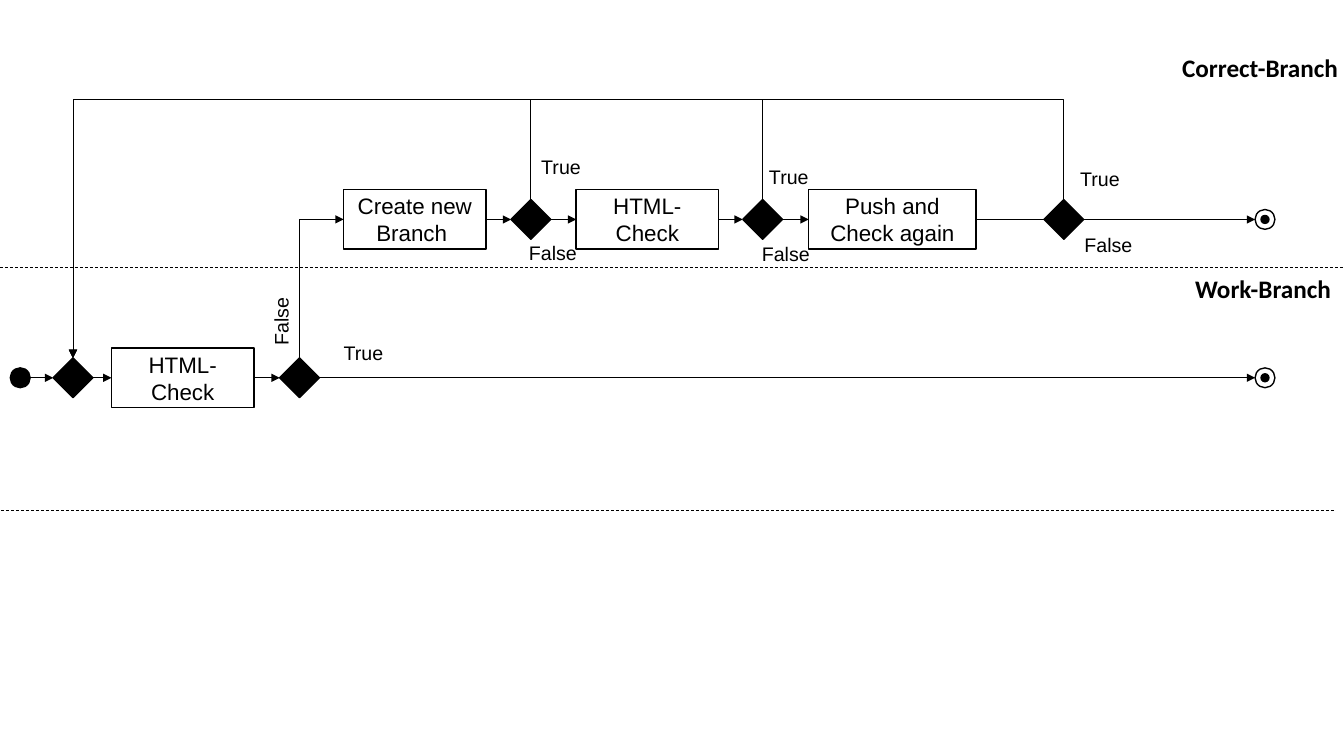
from pptx import Presentation
from pptx.dml.color import RGBColor
from pptx.enum import dml, shapes, text
from pptx.oxml import ns, xmlchemy
from pptx.util import Cm, Pt

BLACK = RGBColor(0, 0, 0)
WHITE = RGBColor(255, 255, 255)
KIND = shapes.MSO_SHAPE
LINK = shapes.MSO_CONNECTOR

TOP, LOW = 5.53, 9.52  # centre lines of the two lanes
LOOP = 2.5             # height of the way back
HALF = 0.5             # half a diamond
DOT = 0.25             # radius of a start or end node
BACK, FORK, END = 1.84, 7.55, 31.88
TESTS = [13.38, 19.22, 26.81]
BOX = 1.5

deck = Presentation()
deck.slide_width, deck.slide_height = Cm(33.87), Cm(19.05)
slide = deck.slides.add_slide(deck.slide_layouts[6])
tree = slide.shapes


def node(home, kind, x, y, w, h, fill=BLACK):
    """Add a black-edged shape centred on x, y."""
    shape = home.add_shape(kind, Cm(x - w / 2), Cm(y - h / 2), Cm(w), Cm(h))
    shape.shadow.inherit = False
    shape.fill.solid()
    shape.fill.fore_color.rgb = fill
    shape.line.color.rgb = BLACK
    shape.line.width = Pt(1)
    return shape


def link(x1, y1, x2, y2, kind=LINK.STRAIGHT, arrow=True):
    """Add a thin line, by default with an arrowhead at its end."""
    line = tree.add_connector(kind, Cm(x1), Cm(y1), Cm(x2), Cm(y2))
    line.line.color.rgb = BLACK
    line.line.width = Pt(0.5)
    props = line._element.spPr
    if arrow:
        head = xmlchemy.OxmlElement("a:tailEnd")
        head.set("type", "triangle")
        props.find(ns.qn("a:ln")).append(head)
    props.append(xmlchemy.OxmlElement("a:effectLst"))
    return line


# Lane borders
for x1, x2, y in [(0, 33.87, 6.73), (-0.23, 33.63, 12.85)]:
    edge = link(x1, y, x2, y, arrow=False)
    edge.line.dash_style = dml.MSO_LINE.DASH

# Straight steps within each lane
for y, steps in [
    (LOW, [(0.76, BACK - HALF), (BACK + HALF, 2.81), (6.4, FORK - HALF),
           (FORK + HALF, END - DOT)]),
    (TOP, [(12.25, TESTS[0] - HALF), (TESTS[0] + HALF, 14.52),
           (18.11, TESTS[1] - HALF), (TESTS[1] + HALF, 20.38),
           (24.6, END - DOT)]),
]:
    for x1, x2 in steps:
        link(x1, y, x2, y)

# Bent ways: up to the correct branch, and back from each test
bends = [(FORK, LOW - HALF, 8.66, TOP, "bentConnector2", 90)]
bends += [(x, TOP - HALF, BACK, LOW - HALF, "bentConnector3", 270)
          for x in TESTS]
for x1, y1, x2, y2, preset, turn in bends:
    bend = link(x1, y1, x2, y2, LINK.ELBOW)
    wide, high = abs(y2 - y1), abs(x2 - x1)
    bend.left, bend.top = Cm((x1 + x2 - wide) / 2), Cm((y1 + y2 - high) / 2)
    bend.width, bend.height = Cm(wide), Cm(high)
    frame = bend._element.spPr.find(ns.qn("a:xfrm"))
    for key, value in [("rot", turn * 60000), ("flipH", 1), ("flipV", 1)]:
        frame.set(key, str(value))
    form = bend._element.spPr.find(ns.qn("a:prstGeom"))
    form.set("prst", preset)
    if preset == "bentConnector3":
        guide = xmlchemy.OxmlElement("a:gd")
        guide.set("name", "adj1")
        guide.set("fmla", f"val {round((LOOP - y1) / wide * 100000)}")
        form.find(ns.qn("a:avLst")).append(guide)

# Nodes
node(tree, KIND.OVAL, 0.51, LOW, 2 * DOT, 2 * DOT)
for x, y in [(BACK, LOW), (FORK, LOW)] + [(x, TOP) for x in TESTS]:
    node(tree, KIND.DIAMOND, x, y, 2 * HALF, 2 * HALF)
for y in (TOP, LOW):
    group = tree.add_group_shape().shapes
    node(group, KIND.OVAL, END, y, 2 * DOT, 2 * DOT, WHITE)
    node(group, KIND.OVAL, END, y, 0.2, 0.2)

# Actions
for words, left, y, w in [
    ("HTML-Check", 2.81, LOW, 3.59),
    ("Create new Branch ", 8.66, TOP, 3.59),
    ("HTML-Check", 14.52, TOP, 3.59),
    ("Push and Check again", 20.38, TOP, 4.22),
]:
    frame = node(tree, KIND.RECTANGLE, left + w / 2, y, w, BOX, WHITE).text_frame
    frame.text = words
    frame.word_wrap = True
    frame.vertical_anchor = text.MSO_ANCHOR.MIDDLE
    par = frame.paragraphs[0]
    par.alignment = text.PP_ALIGN.CENTER
    font = par.runs[0].font
    font.name, font.size, font.color.rgb = "Arial", Pt(16), BLACK

# Lane titles and answers
ANSWER = ("Arial", 14, False, 0.86)
TITLE = ("Calibri", 18, True, 1.02)
for words, x, y, w, style, turn in [
    ("Work-Branch", 29.87, 6.76, 3.99, TITLE, 0),
    ("Correct-Branch", 29.54, 1.19, 4.5, TITLE, 0),
    ("False", 6.22, 7.67, 1.73, ANSWER, 270),
    ("False", 13.08, 5.94, 1.73, ANSWER, 0),
    ("False", 18.95, 5.97, 1.73, ANSWER, 0),
    ("False", 27.08, 5.74, 1.73, ANSWER, 0),
    ("True", 13.39, 3.78, 1.52, ANSWER, 0),
    ("True", 19.13, 4.04, 1.52, ANSWER, 0),
    ("True", 26.97, 4.09, 1.52, ANSWER, 0),
    ("True", 8.41, 8.46, 1.52, ANSWER, 0),
]:
    face, size, bold, h = style
    label = tree.add_textbox(Cm(x), Cm(y), Cm(w), Cm(h))
    label.rotation = turn
    frame = label.text_frame
    frame.text = words
    frame.word_wrap = False
    frame.auto_size = text.MSO_AUTO_SIZE.SHAPE_TO_FIT_TEXT
    font = frame.paragraphs[0].runs[0].font
    font.name, font.size, font.bold = face, Pt(size), bold
    font.color.rgb = BLACK

deck.save("out.pptx")
